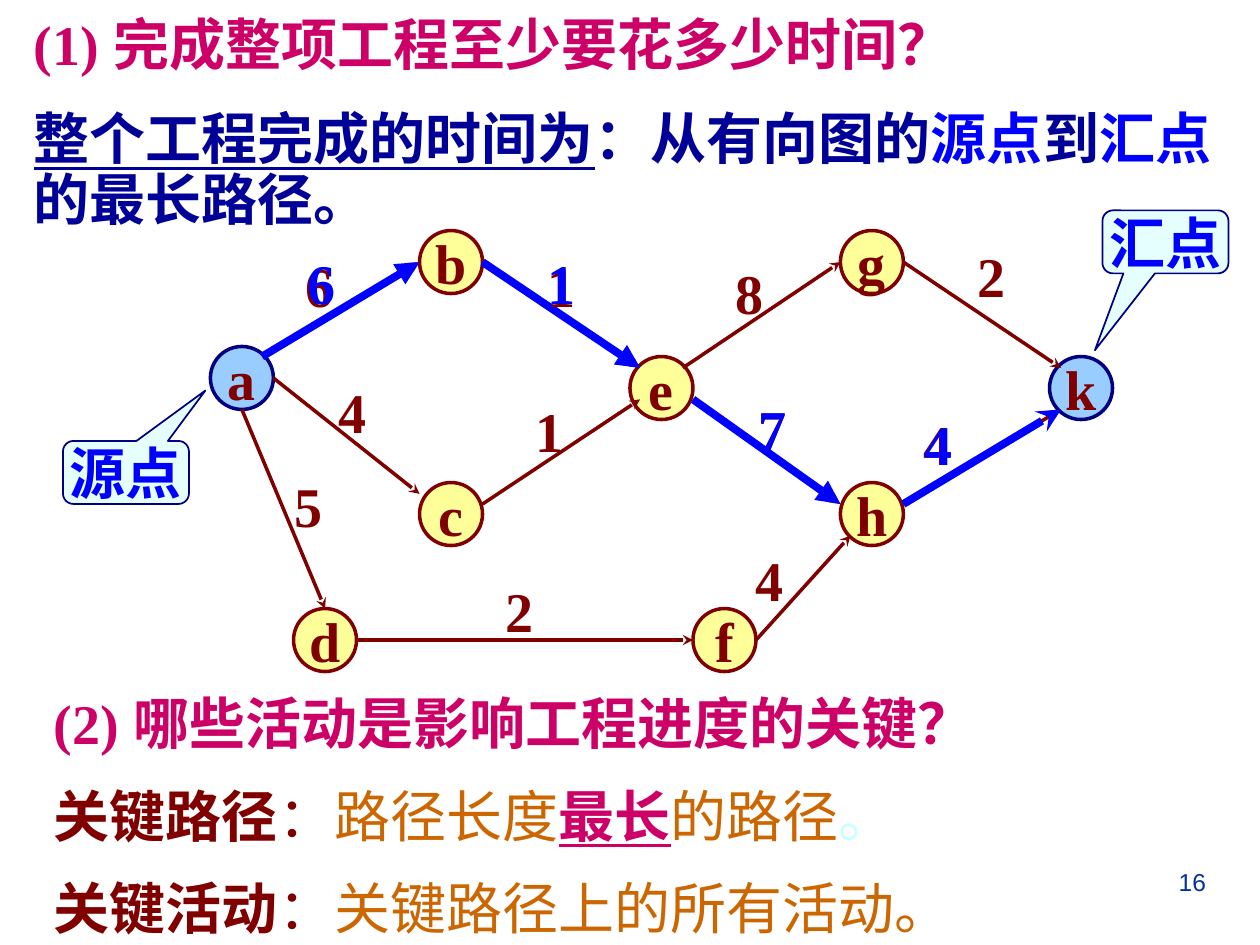
from lxml import etree
from pptx import Presentation
from pptx.dml.color import RGBColor
from pptx.enum.shapes import MSO_CONNECTOR, MSO_SHAPE
from pptx.enum.text import MSO_ANCHOR, PP_ALIGN
from pptx.oxml.ns import qn
from pptx.util import Inches, Pt

STRAIGHT = MSO_CONNECTOR.STRAIGHT
OVAL = MSO_SHAPE.OVAL
CALLOUT = MSO_SHAPE.ROUNDED_RECTANGULAR_CALLOUT
MIDDLE = MSO_ANCHOR.MIDDLE
LEFT, CENTER, RIGHT = PP_ALIGN.LEFT, PP_ALIGN.CENTER, PP_ALIGN.RIGHT

MAROON = RGBColor(0x80, 0x00, 0x00)
NAVY = RGBColor(0x00, 0x00, 0x80)
DARK_BLUE = RGBColor(0x00, 0x00, 0x99)
BLUE = RGBColor(0x00, 0x00, 0xFF)
PAGE_BLUE = RGBColor(0x00, 0x33, 0x99)
SKY = RGBColor(0x99, 0xCC, 0xFF)
YELLOW = RGBColor(0xFF, 0xFF, 0x99)
PALE_CYAN = RGBColor(0xCC, 0xFF, 0xFF)
MAGENTA = RGBColor(0xCC, 0x00, 0x66)
ORANGE = RGBColor(0xCC, 0x66, 0x00)

BODY = {"name": "Times New Roman", "size": Pt(32), "bold": True}
NODE_SIZE = 0.5


def write(paragraph, runs, align=LEFT):
    paragraph.alignment = align
    for text, changes in runs:
        run = paragraph.add_run()
        run.text = text
        look = {**BODY, **changes}
        run.font.color.rgb = look.pop("color")
        for attribute, value in look.items():
            setattr(run.font, attribute, value)


def add_arrow(start, end, color, width, head):
    arrow = slide.shapes.add_connector(STRAIGHT, *map(Inches, start + end))
    arrow.line.color.rgb = color
    arrow.line.width = Pt(width)
    etree.SubElement(arrow.line._get_or_add_ln(), qn("a:tailEnd"), type=head)
    etree.SubElement(arrow._element.spPr, qn("a:effectLst"))


prs = Presentation()
prs.slide_width, prs.slide_height = Inches(10), Inches(7.5)
slide = prs.slides.add_slide(prs.slide_layouts[6])

page_number = slide.shapes.add_textbox(Inches(7.17), Inches(6.83), Inches(2.5), Inches(0.52))
page_number.text_frame.word_wrap = True
write(page_number.text_frame.paragraphs[0],
      [("16", {"name": "Arial", "size": Pt(14), "bold": False, "color": PAGE_BLUE})], RIGHT)

duration_question = [
    (0.8, [("(1) 完成整项工程至少要花多少时间？", {"color": MAGENTA})]),
    (0.9, [("整个工程完成的时间为", {"color": DARK_BLUE, "underline": True}),
           ("：从有向图的", {"color": DARK_BLUE}),
           ("源点", {"color": BLUE}),
           ("到", {"color": DARK_BLUE}),
           ("汇点", {"color": BLUE}),
           ("的最长路径。", {"color": DARK_BLUE})]),
]
critical_question = [
    (0.85, [("(2) 哪些活动是影响工程进度的关键？", {"color": MAGENTA})]),
    (0.85, [("关键路径", {"color": MAROON}),
            ("：", {"color": MAROON, "bold": False}),
            ("路径长度", {"color": ORANGE, "bold": False}),
            ("最长", {"color": MAGENTA, "underline": True}),
            ("的路径", {"color": ORANGE, "bold": False}),
            ("。", {"color": PALE_CYAN, "bold": False})]),
    (0.85, [("关键活动", {"color": MAROON}),
            ("：", {"color": MAROON, "bold": False}),
            ("关键路径上的所有活动。", {"color": ORANGE, "bold": False})]),
]
for box, question in [((0.17, 0.13, 9.75, 1.77), duration_question),
                      ((0.33, 5.5, 8.83, 2.02), critical_question)]:
    frame = slide.shapes.add_textbox(*map(Inches, box)).text_frame
    frame.word_wrap = True
    for index, (spacing, runs) in enumerate(question):
        paragraph = frame.add_paragraph() if index else frame.paragraphs[0]
        paragraph.line_spacing = spacing
        if index:
            paragraph.space_before = Pt(20)
        write(paragraph, runs)

nodes = {"a": (1.67, 2.75), "b": (3.33, 1.83), "c": (3.33, 3.83),
         "d": (2.33, 4.83), "e": (5, 2.83), "f": (5.5, 4.83),
         "g": (6.67, 1.83), "h": (6.67, 3.83), "k": (8.33, 2.83)}
for name, (left, top) in nodes.items():
    node = slide.shapes.add_shape(OVAL, Inches(left), Inches(top), Inches(NODE_SIZE), Inches(NODE_SIZE))
    node.shadow.inherit = False
    node.fill.solid()
    node.fill.fore_color.rgb = SKY if name in "ak" else YELLOW
    node.line.color.rgb = NAVY if name in "ak" else MAROON
    node.line.width = Pt(2)
    node.text_frame.word_wrap = False
    node.text_frame.vertical_anchor = MIDDLE
    write(node.text_frame.paragraphs[0], [(name, {"color": MAROON})], CENTER)

activities = [
    ((2.17, 3), (3.33, 3.92), "4", (2.59, 2.95)),
    ((3.83, 4), (5.08, 3.17), "1", (4.15, 3.1)),
    ((5.42, 2.92), (6.67, 2.08), "8", (5.74, 2)),
    ((7.17, 2.08), (8.42, 2.92), "2", (7.66, 1.87)),
    ((1.92, 3.25), (2.58, 4.83), "5", (2.24, 3.69)),
    ((2.83, 5.08), (5.5, 5.08), "2", (3.91, 4.53)),
    ((6, 5.08), (6.75, 4.25), "4", (5.9, 4.28)),
]
critical_activities = [
    ((2.08, 2.83), (3.33, 2.08), "6", (2.33, 1.95), (2.34, 1.92), "triangle"),
    ((3.83, 2.08), (5.08, 2.92), "1", (4.25, 1.95), (4.25, 1.92), "triangle"),
    ((5.5, 3.17), (6.67, 4), "7", (5.92, 3.08), (5.92, 3.08), "triangle"),
    ((7.17, 4), (8.42, 3.25), "4", (7.23, 3.2), (7.24, 3.2), "stealth"),
]
durations = []
for start, end, days, place in activities + [activity[:4] for activity in critical_activities]:
    add_arrow(start, end, MAROON, 2, "stealth")
    durations.append((days, place, MAROON))
for start, end, days, _, place, head in critical_activities:
    add_arrow(start, end, BLUE, 4.5, head)
    durations.append((days, place, BLUE))

for days, (left, top), color in durations:
    duration = slide.shapes.add_textbox(Inches(left), Inches(top), Inches(0.42), Inches(0.64))
    duration.text_frame.word_wrap = False
    write(duration.text_frame.paragraphs[0], [(days, {"color": color})])

for text, left, top, pointer in [("源点", 0.5, 3.5, (0.63, -1.3)),
                                 ("汇点", 8.75, 1.67, (-0.56, 1.72))]:
    callout = slide.shapes.add_shape(CALLOUT, Inches(left), Inches(top), Inches(1), Inches(0.5))
    callout.shadow.inherit = False
    callout.adjustments[0], callout.adjustments[1] = pointer
    callout.fill.solid()
    callout.fill.fore_color.rgb = PALE_CYAN
    tint = callout._element.spPr.find(qn("a:solidFill")).find(qn("a:srgbClr"))
    etree.SubElement(tint, qn("a:alpha"), val="50000")
    callout.line.color.rgb = NAVY
    callout.line.width = Pt(1)
    callout.text_frame.word_wrap = False
    callout.text_frame.vertical_anchor = MIDDLE
    write(callout.text_frame.paragraphs[0], [(text, {"color": BLUE})], CENTER)

prs.save("out.pptx")
